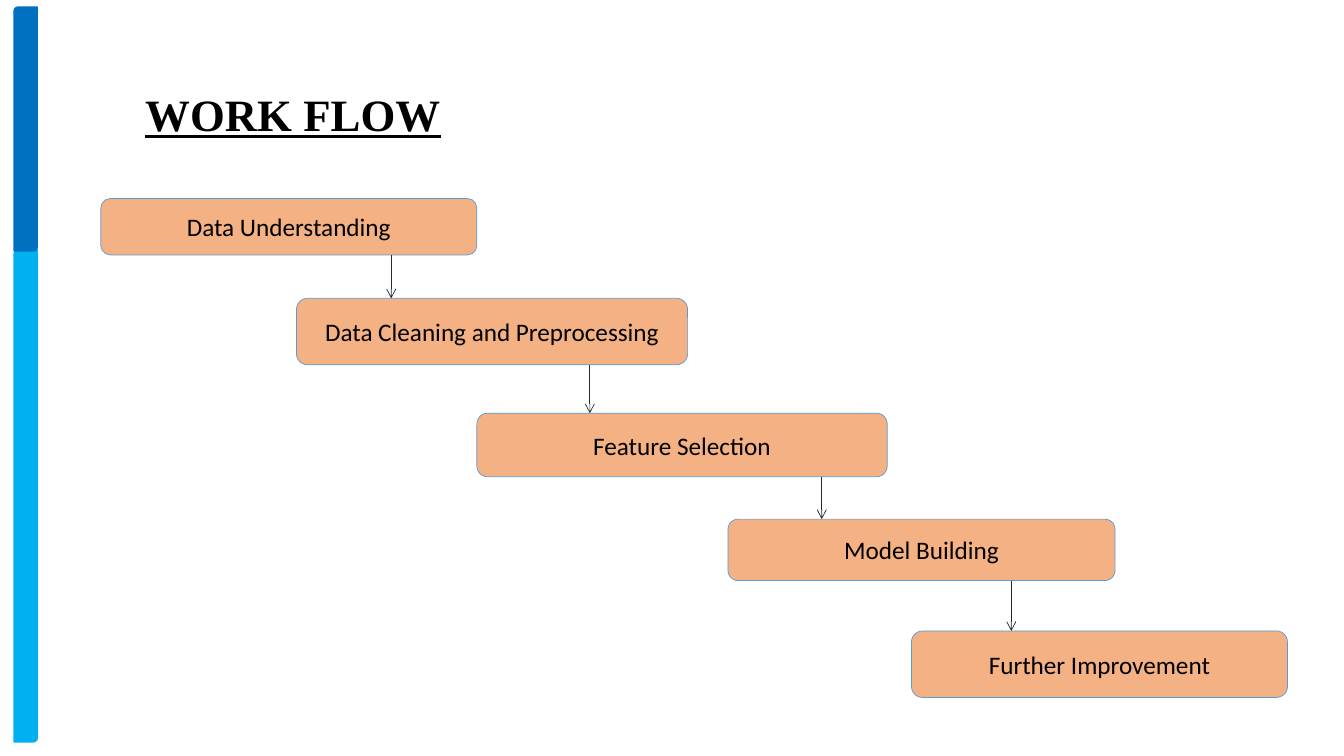
from dataclasses import dataclass
from itertools import pairwise

from lxml import etree
from pptx import Presentation
from pptx.dml.color import RGBColor
from pptx.enum.shapes import MSO_CONNECTOR, MSO_SHAPE
from pptx.enum.text import MSO_ANCHOR, MSO_AUTO_SIZE, PP_ALIGN
from pptx.oxml.ns import qn
from pptx.shapes.autoshape import Shape
from pptx.slide import Slide
from pptx.util import Inches, Pt

ROUNDED = MSO_SHAPE.ROUNDED_RECTANGLE
DIAGONAL = MSO_SHAPE.ROUND_2_DIAG_RECTANGLE
STRAIGHT = MSO_CONNECTOR.STRAIGHT
MIDDLE, TOP = MSO_ANCHOR.MIDDLE, MSO_ANCHOR.TOP
CENTER, LEFT = PP_ALIGN.CENTER, PP_ALIGN.LEFT
FIT_SHAPE = MSO_AUTO_SIZE.SHAPE_TO_FIT_TEXT

COLORS = {
    "text": "000000",
    "step": "F4B183",
    "step_line": "5B9BD5",
    "arrow": "222A35",
    "light_bar": "00B0F0",
    "dark_bar": "0070C0",
}


@dataclass(frozen=True)
class Bar:
    top: float
    height: float
    color: str


@dataclass(frozen=True)
class Step:
    label: str
    left: float
    top: float
    width: float
    height: float
    arrow_x: float | None = None


BARS = [Bar(2.48, 4.88, "light_bar"), Bar(0.07, 2.42, "dark_bar")]

STEPS = [
    Step("Data Understanding", 1, 1.97, 3.73, 0.56, 3.88),
    Step("Data Cleaning and Preprocessing", 2.94, 2.96, 3.88, 0.66, 5.85),
    Step("Feature Selection", 4.73, 4.1, 4.07, 0.63, 8.15),
    Step("Model Building", 7.22, 5.15, 3.84, 0.61, 10.03),
    Step("Further Improvement", 9.04, 6.26, 3.73, 0.66),
]


def rgb(name: str) -> RGBColor:
    return RGBColor.from_string(COLORS[name])


def add_box(page: Slide, preset: MSO_SHAPE, left: float, top: float, width: float,
            height: float, fill: str, line: str, line_width: float) -> Shape:
    box = page.shapes.add_shape(
        preset, Inches(left), Inches(top), Inches(width), Inches(height))
    box.shadow.inherit = False
    box.fill.solid()
    box.fill.fore_color.rgb = rgb(fill)
    box.line.color.rgb = rgb(line)
    box.line.width = Pt(line_width)
    return box


def format_text(box: Shape, text: str, font_name: str, size: int,
                align: PP_ALIGN, anchor: MSO_ANCHOR) -> None:
    frame = box.text_frame
    frame.text = text
    frame.vertical_anchor = anchor
    para = frame.paragraphs[0]
    para.alignment = align
    font = para.runs[0].font
    font.name = font_name
    font.size = Pt(size)
    font.color.rgb = rgb("text")


def add_title(page: Slide) -> None:
    title = page.shapes.title
    title.left, title.top = Inches(1.34), Inches(0.81)
    title.width, title.height = Inches(3.13), Inches(0.64)
    format_text(title, "WORK FLOW", "Times New Roman", 32, LEFT, TOP)
    title.text_frame.word_wrap = False
    title.text_frame.auto_size = FIT_SHAPE
    font = title.text_frame.paragraphs[0].runs[0].font
    font.bold = True
    font.underline = True


def add_step(page: Slide, step: Step) -> None:
    box = add_box(page, ROUNDED, step.left, step.top, step.width, step.height,
                  "step", "step_line", 0.5)
    format_text(box, step.label, "Calibri", 18, CENTER, MIDDLE)


def add_arrow(page: Slide, step: Step, following: Step) -> None:
    """Drop an arrow from the bottom of a step to the top of the following one."""
    x = Inches(step.arrow_x)
    arrow = page.shapes.add_connector(
        STRAIGHT, x, Inches(step.top + step.height), x, Inches(following.top))
    arrow.line.color.rgb = rgb("arrow")
    arrow.line.width = Pt(0.5)
    etree.SubElement(arrow.line._get_or_add_ln(), qn("a:tailEnd"), type="arrow")
    etree.SubElement(arrow._element.spPr, qn("a:effectLst"))


def main() -> None:
    deck = Presentation()
    deck.slide_width, deck.slide_height = Inches(13.33), Inches(7.5)
    page = deck.slides.add_slide(deck.slide_layouts[5])
    for bar in BARS:
        add_box(page, DIAGONAL, 0.14, bar.top, 0.23, bar.height, bar.color, bar.color, 1)
    add_title(page)
    for step in STEPS:
        add_step(page, step)
    for step, following in pairwise(STEPS):
        add_arrow(page, step, following)
    deck.save("out.pptx")


if __name__ == "__main__":
    main()
